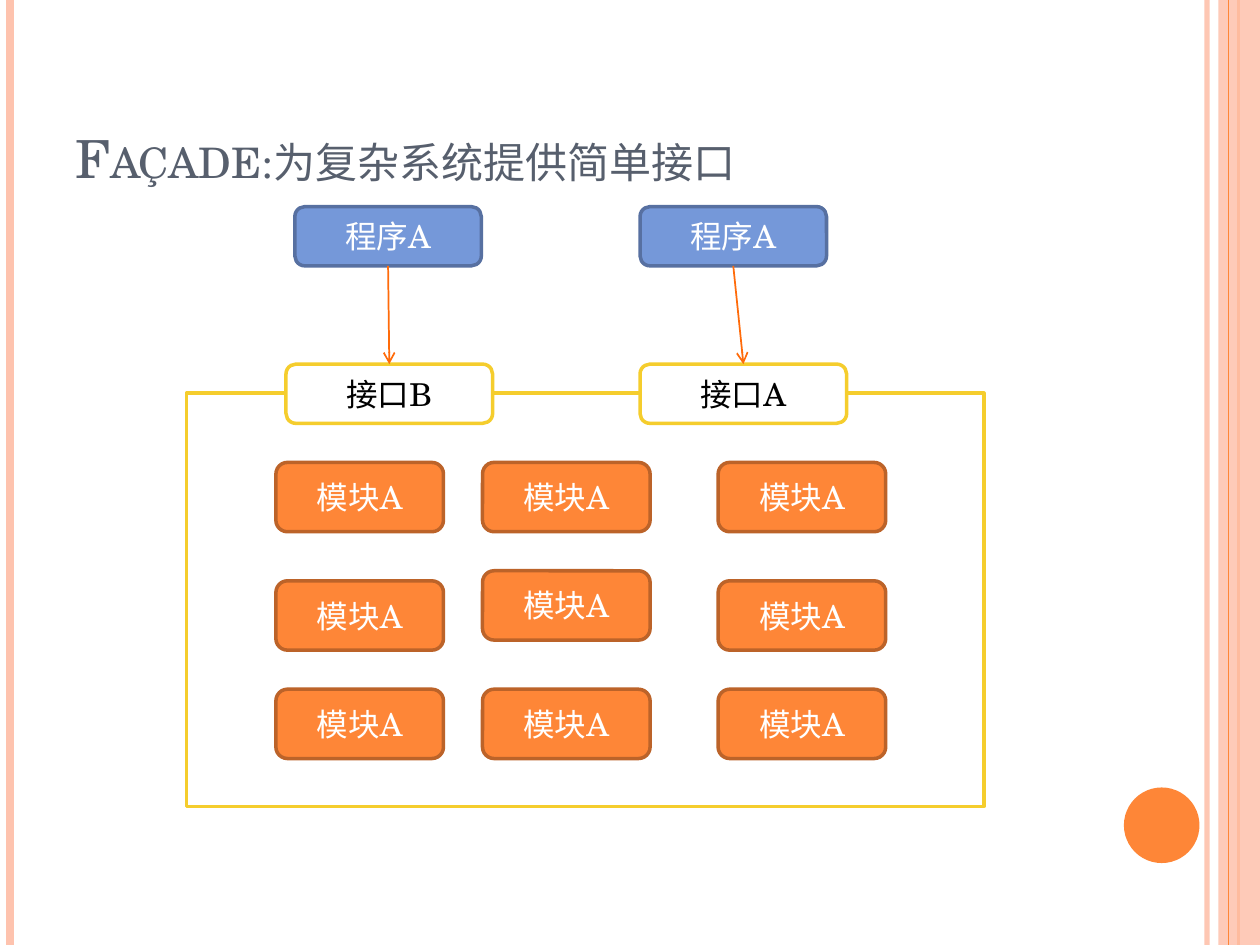
import pptx
import pptx.util
import pptx.dml.color
import pptx.enum.shapes
import pptx.enum.text
import pptx.oxml
import pptx.oxml.ns

Inches = pptx.util.Inches
Pt = pptx.util.Pt
RGBColor = pptx.dml.color.RGBColor
SHAPE = pptx.enum.shapes.MSO_SHAPE
ANCHOR = pptx.enum.text.MSO_ANCHOR
ALIGN = pptx.enum.text.PP_ALIGN

WHITE = RGBColor(0xFF, 0xFF, 0xFF)
BLACK = RGBColor(0x00, 0x00, 0x00)
SLATE = RGBColor(0x57, 0x5F, 0x6D)
PEACH = RGBColor(0xFE, 0xC3, 0xAE)
ORANGE = RGBColor(0xFE, 0x86, 0x37)
DARK_ORANGE = RGBColor(0xBC, 0x63, 0x29)
ARROW_ORANGE = RGBColor(0xFF, 0x6B, 0x0A)
YELLOW = RGBColor(0xF5, 0xCD, 0x2D)
BLUE = RGBColor(0x75, 0x98, 0xD9)
DARK_BLUE = RGBColor(0x57, 0x70, 0xA1)
FONT = "TeX Gyre Schola"

deck = pptx.Presentation()
deck.slide_width = Inches(10)
deck.slide_height = Inches(7.5)
page = deck.slides.add_slide(deck.slide_layouts[6])


def add_line(start, end, color, width):
    line = page.shapes.add_connector(
        pptx.enum.shapes.MSO_CONNECTOR.STRAIGHT,
        *[Inches(value) for value in (*start, *end)])
    line.line.color.rgb = color
    line.line.width = Pt(width)
    pptx.oxml.ns.qn("a:effectLst")
    line._element.spPr.append(pptx.oxml.parse_xml(
        f"<a:effectLst {pptx.oxml.ns.nsdecls('a')}/>"))
    return line


def add_box(kind, bounds, fill, outline=None, text="", text_color=WHITE):
    box = page.shapes.add_shape(kind, *[Inches(value) for value in bounds])
    box.shadow.inherit = False
    box.fill.solid()
    box.fill.fore_color.rgb = fill
    if outline is None:
        box.line.fill.background()
    else:
        box.line.color.rgb = outline
        box.line.width = Pt(2)
    if text:
        box.text_frame.vertical_anchor = ANCHOR.MIDDLE
        para = box.text_frame.paragraphs[0]
        para.alignment = ALIGN.CENTER
        span = para.add_run()
        span.text = text
        span.font.color.rgb = text_color
        for name, value in {"name": FONT, "size": Pt(18)}.items():
            setattr(span.font, name, value)
    return box


# Side stripes and circle
edge_line = add_line((9.58, 0), (9.58, 7.5), PEACH, 3)
add_line((0.08, 0), (0.08, 7.5), PEACH, 4.5)
add_line((9.83, 0), (9.83, 7.5), ORANGE, 1.5)
band = add_box(SHAPE.RECTANGLE, (9.67, 0, 0.33, 7.5), PEACH)
add_line((9.75, 0), (9.75, 7.5), ORANGE, 0.75)
add_box(SHAPE.OVAL, (8.92, 6.25, 0.6, 0.6), ORANGE)
for stripe, opacity in ((edge_line, 93), (band, 87)):
    color = next(stripe._element.spPr.iter(pptx.oxml.ns.qn("a:srgbClr")))
    color.append(pptx.oxml.parse_xml(
        f"<a:alpha {pptx.oxml.ns.nsdecls('a')} val='{opacity * 1000}'/>"))

# Frame of the complex system
add_box(SHAPE.RECTANGLE, (1.48, 3.12, 6.33, 3.28), WHITE, YELLOW)

# Title
title = page.shapes.add_textbox(Inches(0.5), Inches(0.3), Inches(8.17), Inches(1.25))
title.text_frame.word_wrap = True
title.text_frame.vertical_anchor = ANCHOR.BOTTOM
span = title.text_frame.paragraphs[0].add_run()
span.text = "Façade:为复杂系统提供简单接口"
span.font.color.rgb = SLATE
for name, value in {"name": FONT, "size": Pt(30)}.items():
    setattr(span.font, name, value)
span.font._element.set("cap", "small")

# Modules: the middle one of the second row sits a little higher
for row, top in enumerate((3.67, 4.61, 5.47)):
    for column, left in enumerate((2.19, 3.83, 5.7)):
        module_top = 4.53 if (row, column) == (1, 1) else top
        add_box(SHAPE.ROUNDED_RECTANGLE, (left, module_top, 1.33, 0.55),
                ORANGE, DARK_ORANGE, "模块A")

# Programs, each calling one interface
for program_left, interface_left, interface_name in (
        (5.08, 5.08, "接口A"), (2.34, 2.27, "接口B")):
    interface = add_box(SHAPE.ROUNDED_RECTANGLE, (interface_left, 2.89, 1.64, 0.47),
                        WHITE, YELLOW, interface_name, BLACK)
    program = add_box(SHAPE.ROUNDED_RECTANGLE, (program_left, 1.64, 1.48, 0.47),
                      BLUE, DARK_BLUE, "程序A")
    arrow = add_line((program_left + 0.74, 2.11), (interface_left + 0.82, 2.89),
                     ARROW_ORANGE, 1)
    arrow.begin_connect(program, 2)
    arrow.end_connect(interface, 0)
    arrow.line._get_or_add_ln().append(pptx.oxml.parse_xml(
        f"<a:tailEnd {pptx.oxml.ns.nsdecls('a')} type='arrow'/>"))

deck.save("out.pptx")
